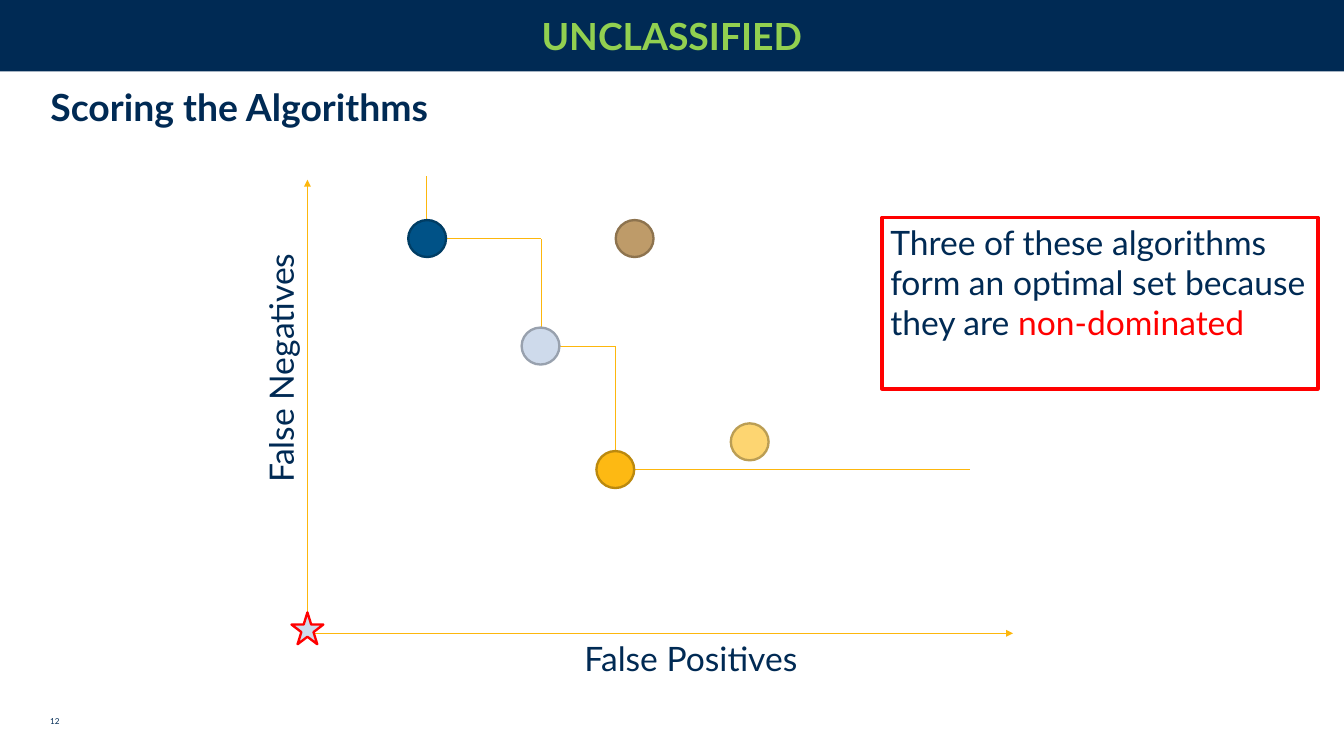
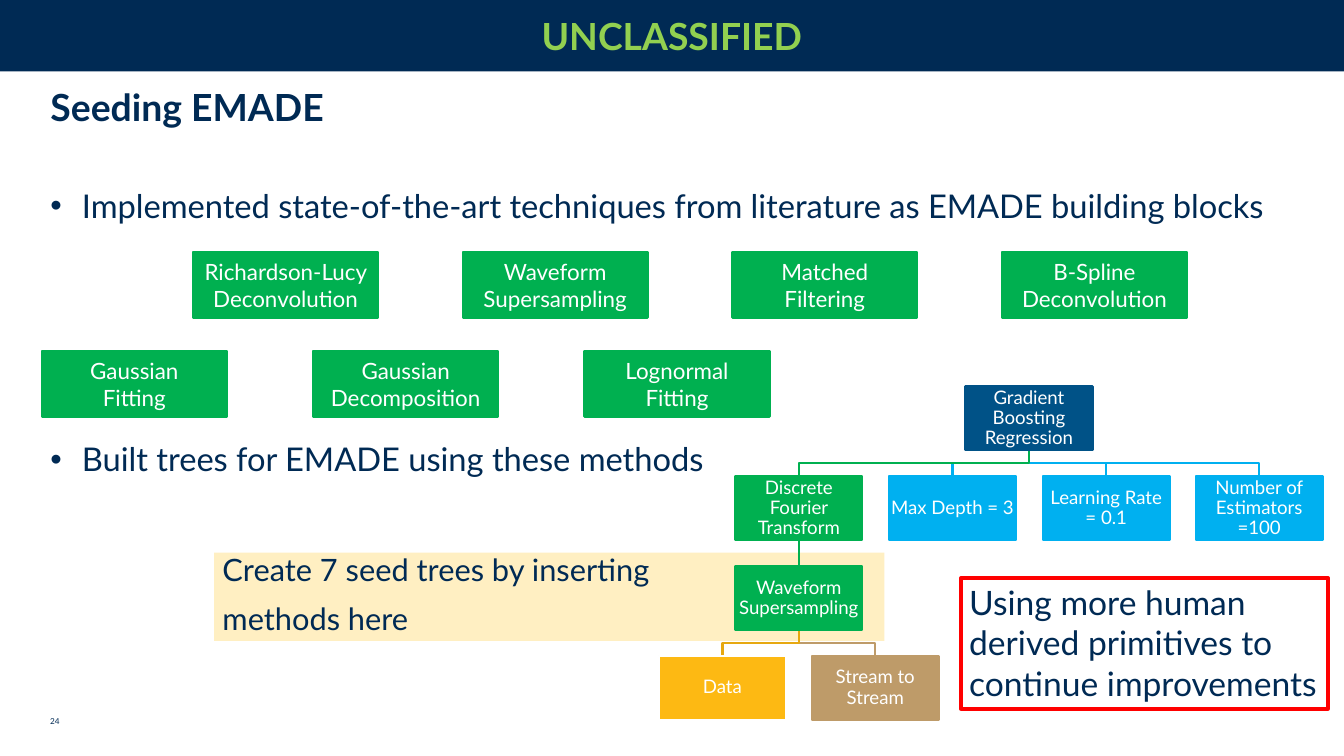
from lxml.etree import SubElement
from pptx import Presentation
from pptx.dml.color import RGBColor as RGB
from pptx.enum.shapes import MSO_CONNECTOR as Link, MSO_SHAPE as Form
from pptx.enum.text import MSO_ANCHOR as Anchor, MSO_AUTO_SIZE as Auto, PP_ALIGN as Align
from pptx.oxml.ns import qn
from pptx.util import Inches, Pt


class Theme:
    font = "Lato"
    navy, blue, sky, pale = "002A54", "005287", "00B0F0", "CEDAEB"
    gold, amber, wheat, tan = "FDB913", "FDB70D", "FDD571", "BE9B69"
    green, lime, red, white = "00B050", "92D050", "FF0000", "FFFFFF"
    honey, cream = "E6A811", "FFC000"
    head, note, body, hint, block, node, foot = 32, 28.8, 28, 26.4, 19.2, 16, 7


def draw(shape, fill=None, edge=None, width=0.75):
    if hasattr(shape, "fill"):
        shape.fill.background()
        if fill:
            shape.fill.solid()
            shape.fill.fore_color.rgb = RGB.from_string(fill)
    if edge:
        shape.line.color.rgb = RGB.from_string(edge)
        shape.line.width = Pt(width)
    else:
        shape.line.fill.background()
    SubElement(shape._element.spPr, qn("a:effectLst"))
    return shape


def write(shape, rows, size, align=Align.LEFT, anchor=Anchor.TOP, pad=(0.1, 0.05),
          bold=False, wrap=True, space=None):
    frame = shape.text_frame
    frame.auto_size = Auto.NONE
    frame.word_wrap = wrap
    frame.vertical_anchor = anchor
    frame.margin_left = frame.margin_right = Inches(pad[0])
    frame.margin_top = frame.margin_bottom = Inches(pad[1])
    for i, row in enumerate(rows):
        para = frame.paragraphs[0] if i == 0 else frame.add_paragraph()
        para.alignment = align
        para.space_before = Pt(0)
        if space:
            para.line_spacing = space
        for text, color in row:
            run = para.add_run()
            run.text = text
            run.font.name = Theme.font
            run.font.size = Pt(size)
            run.font.bold = bold
            run.font.color.rgb = RGB.from_string(color)
    return frame


deck = Presentation()
deck.slide_width, deck.slide_height = Inches(16), Inches(9)

slides = []
for kind, title, number in ((5, "Scoring the Algorithms", "12"), (1, "Seeding EMADE", "24")):
    slide = deck.slides.add_slide(deck.slide_layouts[kind])
    slides.append(slide)
    band = draw(slide.shapes.add_shape(Form.RECTANGLE, 0, 0, Inches(16), Inches(0.85)), Theme.navy)
    write(band, [[("UNCLASSIFIED", Theme.lime)]], Theme.head, Align.CENTER, Anchor.MIDDLE, bold=True)
    foot = slide.shapes.add_textbox(Inches(0.5), Inches(8.48), Inches(1.93), Inches(0.22))
    write(foot, [[(number, Theme.navy)]], Theme.foot)
    head = slide.shapes.title
    head.left, head.top, head.width, head.height = map(Inches, (0.5, 1, 15, 1.03))
    write(head, [[(title, Theme.navy)]], Theme.head, pad=(0.1, 0), bold=True)

score, seed = (slide.shapes for slide in slides)

for x1, y1, x2, y2, arrow in (
    (3.66, 7.54, 12.06, 7.54, True),
    (3.66, 7.54, 3.66, 2.14, True),
    (5.08, 2.62, 5.08, 2.1, False),
    (5.31, 2.84, 6.44, 2.84, False),
    (6.44, 3.9, 6.44, 2.84, False),
    (6.66, 4.12, 7.33, 4.12, False),
    (7.33, 5.37, 7.33, 4.12, False),
    (7.55, 5.59, 11.55, 5.59, False),
):
    line = score.add_connector(Link.STRAIGHT, *map(Inches, (x1, y1, x2, y2)))
    draw(line, edge=Theme.amber)
    if arrow:
        SubElement(line.line._get_or_add_ln(), qn("a:tailEnd"), type="triangle")

for text, at, turn in (
    ("False Positives", (6.86, 7.54, 2.74, 0.59), False),
    ("False Negatives", (3.05, 2.99, 0.69, 2.85), True),
):
    label = score.add_textbox(*map(Inches, at))
    frame = write(label, [[(text, Theme.navy)]], Theme.note, wrap=False)
    if turn:
        frame._txBody.bodyPr.set("vert", "vert270")

for x, y, fill, edge in (
    (4.86, 2.62, Theme.blue, "003D64"),
    (7.33, 2.62, Theme.tan, "8D734E"),
    (6.21, 3.9, Theme.pale, "98A1AE"),
    (8.7, 5.04, Theme.wheat, "BB9E54"),
    (7.1, 5.37, Theme.gold, "BB890E"),
):
    draw(score.add_shape(Form.OVAL, *map(Inches, (x, y, 0.45, 0.44))), fill, edge, 2)

star = score.add_shape(Form.STAR_5_POINT, *map(Inches, (3.47, 7.29, 0.38, 0.38)))
draw(star, Theme.pale, Theme.red, 2)

points = seed.placeholders[1]
points.left, points.top, points.width, points.height = map(Inches, (0.5, 2.21, 15, 6.24))
frame = write(points, [
    [("Implemented state-of-the-art techniques from literature as EMADE building blocks", Theme.navy)],
    [("Built trees for EMADE using these methods", Theme.navy)],
], Theme.body, space=0.9)
frame.paragraphs[1].space_before = Pt(187)

for left, top, step, names in (
    (2.3, 3, 3.21, (["Richardson-Lucy Deconvolution"], ["Waveform Supersampling"],
                    ["Matched Filtering"], ["B-Spline Deconvolution"])),
    (0.5, 4.18, 3.23, (["Gaussian", "Fitting"], ["Gaussian Decomposition"], ["Lognormal Fitting"])),
):
    for i, name in enumerate(names):
        block = seed.add_shape(Form.RECTANGLE, *map(Inches, (left + i * step, top, 2.2, 0.78)))
        draw(block, Theme.green, Theme.green, 2)
        write(block, [[(part, Theme.white)] for part in name], Theme.block, Align.CENTER, Anchor.MIDDLE)

hint = draw(seed.add_shape(Form.RECTANGLE, *map(Inches, (2.55, 6.58, 7.98, 1.05))), Theme.cream)
tint = hint._element.spPr.find(qn("a:solidFill"))[0]
SubElement(tint, qn("a:alpha"), val="24000")
frame = write(hint, [[("Create 7 seed trees by inserting", Theme.navy)],
                     [("methods here", Theme.navy)]], Theme.hint, space=0.85)
for para in frame.paragraphs:
    para.space_after = Pt(14.4)

root, stem = 12.25, 9.51
wide, high, rise = 1.51, 0.76, 1.07
nodes = (
    ("Gradient Boosting Regression", root, 0, None, Theme.blue, Theme.blue, None),
    ("Discrete Fourier Transform", stem, 1, root, Theme.green, Theme.green, Theme.green),
    ("Max Depth = 3", 11.34, 1, root, Theme.sky, Theme.sky, Theme.sky),
    ("Learning Rate = 0.1", 13.17, 1, root, Theme.sky, Theme.sky, Theme.sky),
    ("Number of Estimators =100", 14.99, 1, root, Theme.sky, Theme.sky, Theme.sky),
    ("Waveform Supersampling", stem, 2, stem, Theme.green, Theme.green, Theme.green),
    ("Data", 8.6, 3, stem, Theme.gold, Theme.white, Theme.honey),
    ("Stream to Stream", 10.42, 3, stem, Theme.tan, Theme.tan, Theme.tan),
)

for text, x, level, up, fill, edge, link in reversed(nodes):
    if up is None:
        continue
    low = 4.6 + level * rise
    start = low - rise + high
    mid = (start + low) / 2
    if x == up:
        branch = seed.add_connector(Link.STRAIGHT, *map(Inches, (x, start, x, low)))
    else:
        pen = seed.build_freeform(Inches(up), Inches(start))
        bends = ((up, mid), (x, mid), (x, low))
        pen.add_line_segments([(Inches(a), Inches(b)) for a, b in bends], close=False)
        branch = pen.convert_to_shape()
    draw(branch, edge=link, width=2)

for text, x, level, up, fill, edge, link in nodes:
    at = (x - wide / 2, 4.6 + level * rise, wide, high)
    node = draw(seed.add_shape(Form.RECTANGLE, *map(Inches, at)), fill, edge, 2)
    write(node, [[(text, Theme.white)]], Theme.node, Align.CENTER, Anchor.MIDDLE, (0.01, 0.01), space=0.9)

for shapes, at, row in (
    (score, (10.5, 2.59, 5.19, 2.04),
     [("Three of these algorithms form an optimal set because they are ", Theme.navy),
      ("non-dominated", Theme.red)]),
    (seed, (11.44, 6.88, 4.37, 1.56),
     [("Using more human derived primitives to continue improvements", Theme.navy)]),
):
    note = draw(shapes.add_shape(Form.RECTANGLE, *map(Inches, at)), edge=Theme.red, width=3)
    write(note, [row], Theme.note)

deck.save("out.pptx")
